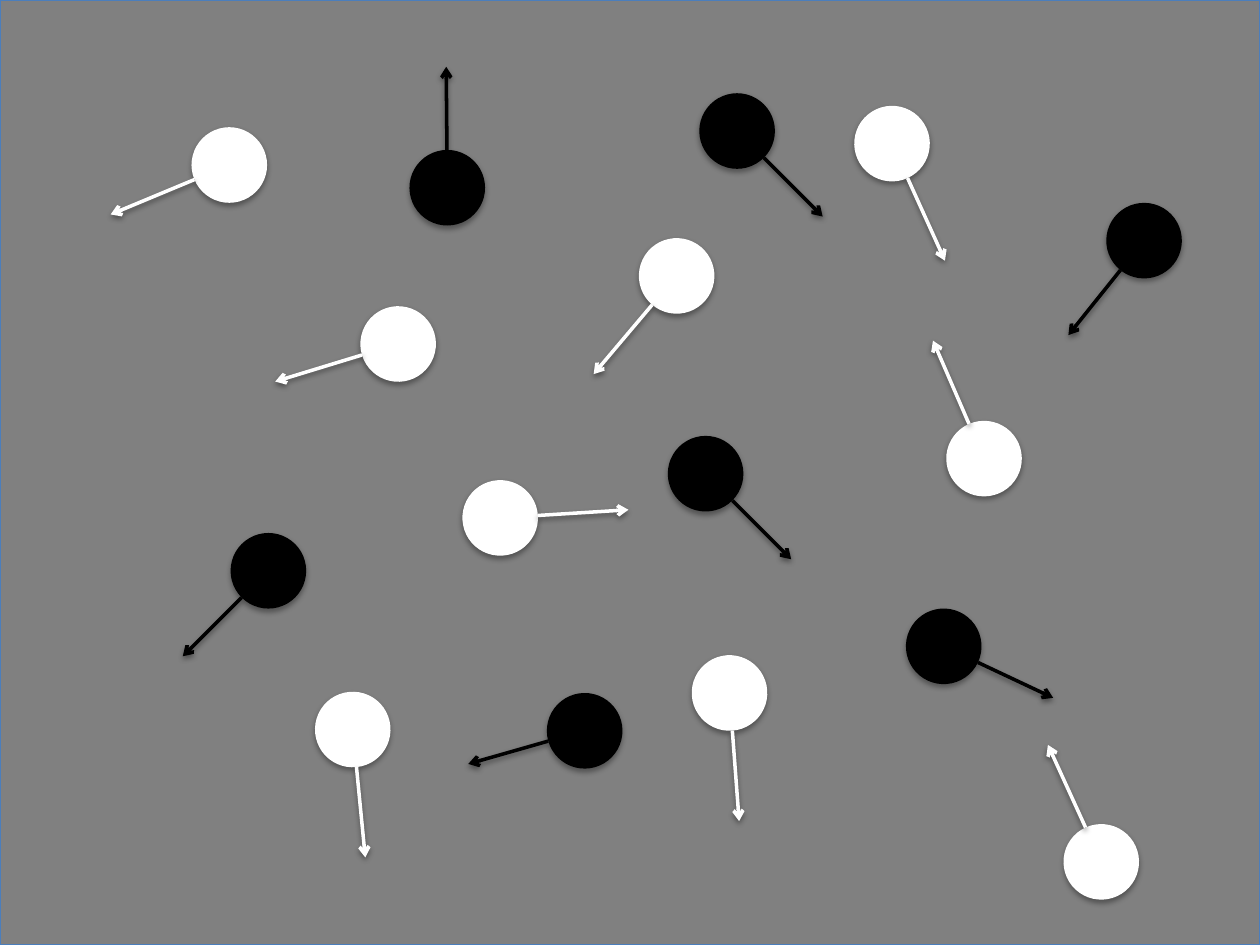
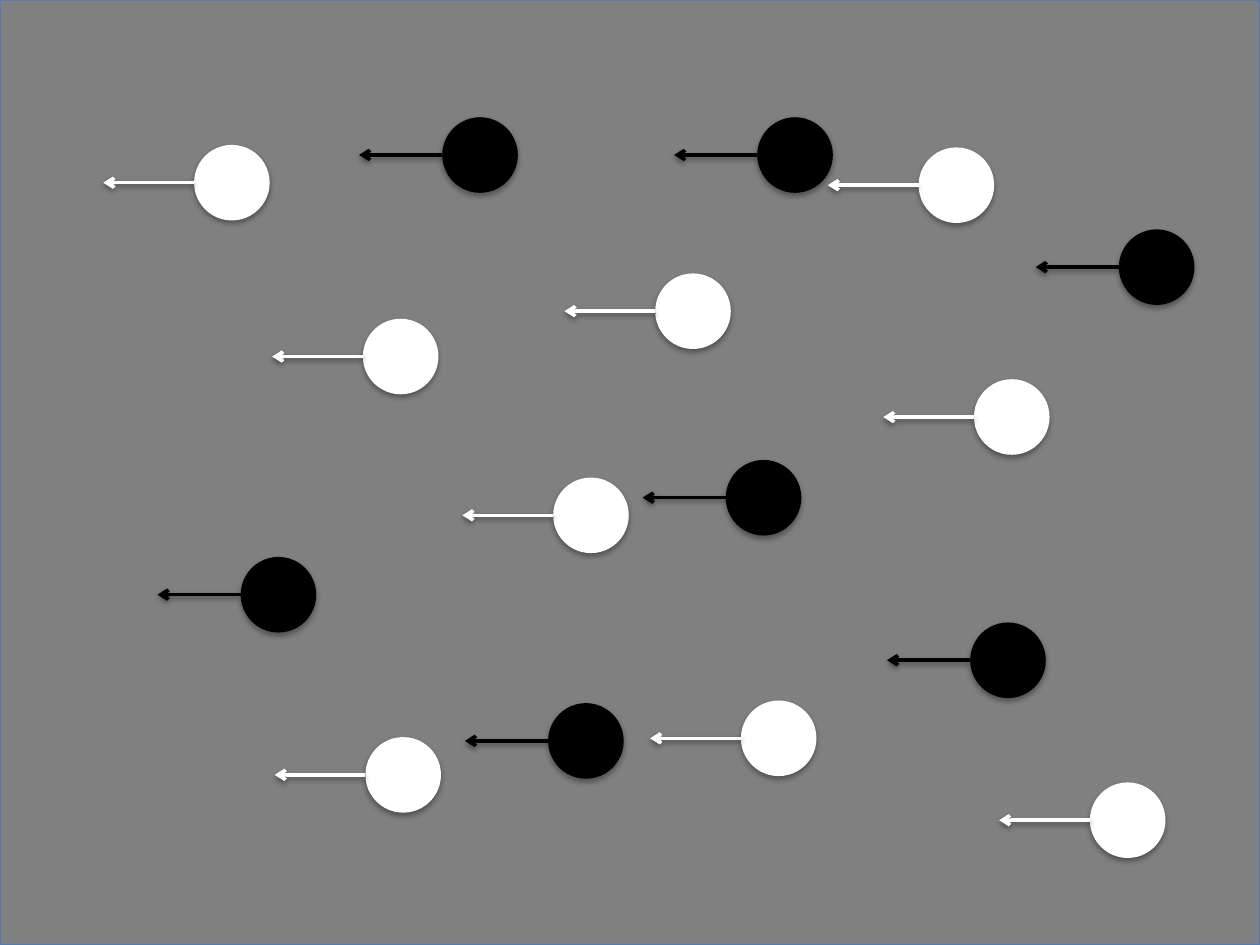
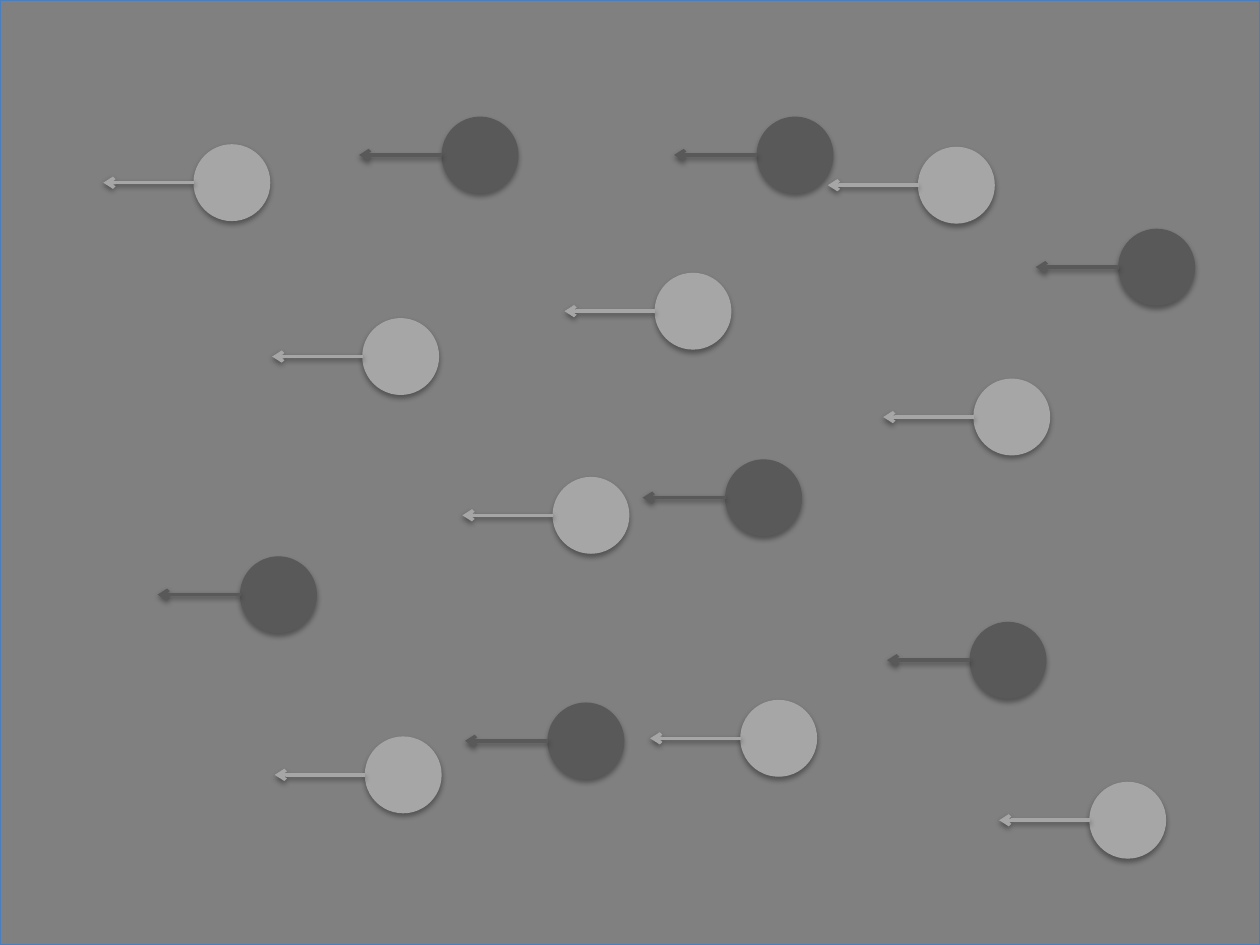
from math import cos, radians, sin

from lxml import etree
from pptx import Presentation
from pptx.dml.color import RGBColor
from pptx.enum.shapes import MSO_CONNECTOR, MSO_SHAPE
from pptx.oxml.ns import qn
from pptx.util import Inches, Pt

RECTANGLE, OVAL = MSO_SHAPE.RECTANGLE, MSO_SHAPE.OVAL
STRAIGHT = MSO_CONNECTOR.STRAIGHT

# Content: (shade, left, top, heading), heading in degrees clockwise from right
RANDOM_DOTS = [
    ("dark", 5.3, 3.46, 45), ("light", 3.67, 3.81, 356.4),
    ("light", 5.49, 5.2, 85.7), ("light", 5.07, 1.89, 130.2),
    ("light", 2.86, 2.43, 163), ("light", 7.51, 3.34, 246.6),
    ("light", 2.5, 5.49, 84.4), ("light", 1.52, 1.01, 157.4),
    ("light", 6.78, 0.84, 65.7), ("light", 8.44, 6.54, 245.5),
    ("dark", 4.34, 5.5, 164.1), ("dark", 1.83, 4.23, 135),
    ("dark", 3.25, 1.19, 269.5), ("dark", 5.55, 0.74, 45),
    ("dark", 7.19, 4.83, 25.2), ("dark", 8.78, 1.61, 128.7),
]
LEFTWARD = 180
COHERENT_DOTS = [(shade, left, top, LEFTWARD) for shade, left, top in [
    ("dark", 5.76, 3.65), ("light", 4.39, 3.79), ("light", 5.88, 5.56),
    ("light", 5.2, 2.17), ("light", 2.88, 2.53), ("light", 7.73, 3.01),
    ("light", 2.9, 5.85), ("light", 1.54, 1.15), ("light", 7.29, 1.17),
    ("light", 8.65, 6.21), ("dark", 4.35, 5.58), ("dark", 1.91, 4.42),
    ("dark", 3.51, 0.93), ("dark", 6.01, 0.93), ("dark", 7.7, 4.94),
    ("dark", 8.88, 1.82),
]]
HIGH_CONTRAST = {"dark": "000000", "light": "FFFFFF"}
LOW_CONTRAST = {"dark": "595959", "light": "A6A6A6"}

# (dots, colours, whether the dots are outlined)
SLIDES = [
    (RANDOM_DOTS, HIGH_CONTRAST, False),
    (COHERENT_DOTS, HIGH_CONTRAST, False),
    (COHERENT_DOTS, LOW_CONTRAST, True),
]

# Shared look
WIDTH, HEIGHT = 10, 7.5
FIELD_FILL, FIELD_EDGE = "808080", "4B7EBC"
RADIUS = 0.3
ARROW_LENGTH = {"dark": 0.66, "light": 0.72}
DOT_TURN = {"dark": 45, "light": -90}  # dot rotation relative to its heading


def color(hex_value):
    return RGBColor.from_string(hex_value)


def add_shadow(shape, distance, opacity):
    effects = etree.SubElement(shape._element.spPr, qn("a:effectLst"))
    shadow = etree.SubElement(
        effects, qn("a:outerShdw"), blurRad=str(Pt(3.1)),
        dist=str(Pt(distance)), dir="5400000", rotWithShape="0")
    black = etree.SubElement(shadow, qn("a:srgbClr"), val="000000")
    etree.SubElement(black, qn("a:alpha"), val=str(opacity * 1000))


def add_filled(shapes, kind, left, top, width, height, fill, edge):
    shape = shapes.add_shape(
        kind, Inches(left), Inches(top), Inches(width), Inches(height))
    shape.fill.solid()
    shape.fill.fore_color.rgb = color(fill)
    if edge:
        shape.line.color.rgb = color(edge)
        shape.line.width = Pt(0.75)
    else:
        shape.line.fill.background()
    add_shadow(shape, 1.8, 35)
    return shape


def add_moving_dot(slide, shade, left, top, heading, fill, outlined):
    shapes = slide.shapes.add_group_shape().shapes
    dot = add_filled(shapes, OVAL, left, top, 2 * RADIUS, 2 * RADIUS,
                     fill, fill if outlined else None)
    dot.rotation = (heading + DOT_TURN[shade]) % 360

    # The arrow runs outward from the rim along the heading
    angle = radians(heading)
    start, end = [
        (Inches(left + RADIUS + reach * cos(angle)),
         Inches(top + RADIUS + reach * sin(angle)))
        for reach in (RADIUS, RADIUS + ARROW_LENGTH[shade])]
    arrow = shapes.add_connector(STRAIGHT, *start, *end)
    arrow.line.color.rgb = color(fill)
    arrow.line.width = Pt(2)
    etree.SubElement(arrow.line._get_or_add_ln(), qn("a:tailEnd"), type="arrow")
    add_shadow(arrow, 1.6, 38)


def main():
    deck = Presentation()
    deck.slide_width, deck.slide_height = Inches(WIDTH), Inches(HEIGHT)
    blank = deck.slide_layouts[6]
    for dots, colors, outlined in SLIDES:
        slide = deck.slides.add_slide(blank)
        add_filled(slide.shapes, RECTANGLE, 0, 0, WIDTH, HEIGHT,
                   FIELD_FILL, FIELD_EDGE)
        for shade, left, top, heading in dots:
            add_moving_dot(slide, shade, left, top, heading,
                           colors[shade], outlined)
    deck.save("out.pptx")


if __name__ == "__main__":
    main()
